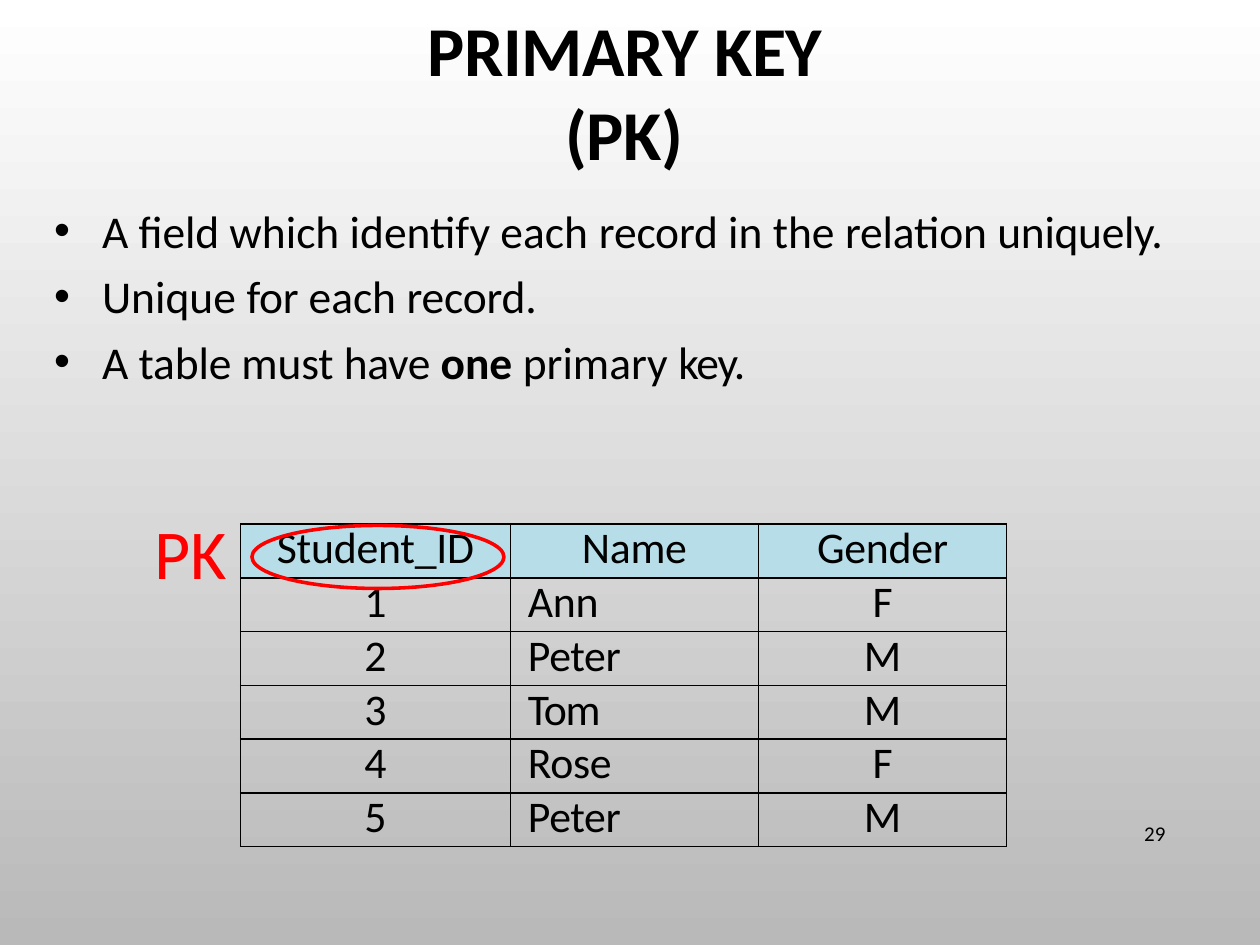
from lxml.etree import SubElement
from pptx import Presentation
from pptx.dml.color import RGBColor
from pptx.enum.shapes import MSO_SHAPE
from pptx.enum.text import MSO_ANCHOR, PP_ALIGN
from pptx.oxml.ns import qn
from pptx.util import Inches, Pt

WIDTH, HEIGHT = Inches(10), Inches(7.5)
BLACK, RED, HEADER_BLUE = "000000", "FF0000", "B7DEE8"

# Boxes: left, top, width, height in percent of the slide
TITLE_BOX = (30.2, 4.93, 38.7, 9.2)
BULLET_BOX = (4.2, 20.13, 88.7, 21.2)
TABLE_BOX = (19.1, 55.47, 60.8, 34.13)
KEY_LABEL_BOX = (12.3, 53.73, 6, 9.2)
KEY_RING_BOX = (20, 55.6, 20, 6.67)
NUMBER_BOX = (86.2, 85.73, 6.3, 5.33)

# Text pieces: wording, letter spacing in points, bold
TITLE = [("PRIMARY ", -0.1, True), ("KEY ", -0.4, True), ("(PK)", -0.1, True)]
BULLETS = [
    (7.2, [("A ", 0, False), ("field ", -0.1, False), ("which identify each ", 0, False),
           ("record ", -0.1, False), ("in the ", 0, False), ("relation ", -0.1, False),
           ("uniquely.", -0.2, False)]),
    (6.3, [("Unique ", 0, False), ("for ", -0.2, False), ("each ", 0, False),
           ("record.", -0.1, False)]),
    (6.2, [("A ", 0, False), ("table must ", -0.1, False), ("have ", -0.2, False),
           ("one ", 0, True), ("primary ", 0, False), ("key.", -0.7, False)]),
]
HEADINGS = ("Student_ID", "Name", "Gender")
STUDENTS = [("Ann", "F"), ("Peter", "M"), ("Tom", "M"), ("Rose", "F"), ("Peter", "M")]
NAME_SPACING = {"Ann": -0.1, "Peter": -0.2, "Tom": -0.8, "Rose": -0.2}
COLUMN_SHARES = (0.352, 0.324, 0.324)


def color(hex_text):
    return RGBColor.from_string(hex_text)


def place(box):
    left, top, width, height = box
    return (int(WIDTH * left / 100), int(HEIGHT * top / 100),
            int(WIDTH * width / 100), int(HEIGHT * height / 100))


def add_spans(para, pieces, size, hex_text=BLACK):
    for wording, spacing, bold in pieces:
        span = para.add_run()
        span.text = wording
        span.font.name = "Calibri"
        span.font.size = Pt(size)
        span.font.bold = bold
        span.font.color.rgb = color(hex_text)
        span.font._element.set("spc", str(round(spacing * 100)))


def add_frame(page, box, anchor=MSO_ANCHOR.TOP, top_inset=0.01):
    frame = page.shapes.add_textbox(*place(box)).text_frame
    frame.word_wrap = True
    frame.vertical_anchor = anchor
    frame.margin_left = frame.margin_right = frame.margin_bottom = 0
    frame.margin_top = Inches(top_inset)
    return frame


def paint_background(page):
    fill = page.background.fill
    fill.gradient()
    fill.gradient_angle = 270
    for stop, hex_text in zip(fill.gradient_stops, ("FFFFFF", "B9B9B9")):
        stop.color.rgb = color(hex_text)


def add_title(page, box):
    para = add_frame(page, box, MSO_ANCHOR.MIDDLE).paragraphs[0]
    para.alignment = PP_ALIGN.CENTER
    para.space_before = Pt(0.9)
    add_spans(para, TITLE, 40)


def add_bullets(page, box):
    frame = add_frame(page, box, top_inset=0.1)
    for index, (gap, pieces) in enumerate(BULLETS):
        para = frame.add_paragraph() if index else frame.paragraphs[0]
        para.space_before = Pt(gap)
        properties = para._p.get_or_add_pPr()
        properties.set("marL", str(Inches(0.39)))
        properties.set("indent", str(Inches(-0.38)))
        SubElement(properties, qn("a:buFont"), typeface="Arial")
        SubElement(properties, qn("a:buChar"), char="•")
        add_spans(para, pieces, 26)


def draw_borders(cell):
    properties = cell._tc.get_or_add_tcPr()
    for position, side in enumerate(("a:lnL", "a:lnR", "a:lnT", "a:lnB")):
        line = SubElement(properties, qn(side), w=str(Pt(1)))
        SubElement(SubElement(line, qn("a:solidFill")), qn("a:srgbClr"), val=BLACK)
        properties.remove(line)
        properties.insert(position, line)  # borders come before the fill


def fill_cell(cell, wording, is_header, is_name):
    cell.margin_left = cell.margin_right = cell.margin_top = cell.margin_bottom = 0
    if is_header:
        cell.fill.solid()
        cell.fill.fore_color.rgb = color(HEADER_BLUE)
    else:
        cell.fill.background()
    draw_borders(cell)
    para = cell.text_frame.paragraphs[0]
    para.line_spacing = Pt(29.4)
    if is_name and not is_header:
        cell.margin_left = Inches(0.14)
    else:
        para.alignment = PP_ALIGN.CENTER
    spacing = -0.1 if is_header else NAME_SPACING.get(wording, 0)
    add_spans(para, [(wording, spacing, False)], 25)


def add_student_table(page, box):
    rows = [HEADINGS] + [(str(number), *student) for number, student in enumerate(STUDENTS, 1)]
    left, top, width, height = place(box)
    table = page.shapes.add_table(len(rows), len(HEADINGS), left, top, width, height).table
    table.first_row = table.horz_banding = False
    for column, share in zip(table.columns, COLUMN_SHARES):
        column.width = int(width * share)
    for row_index, row in enumerate(rows):
        for column_index, wording in enumerate(row):
            fill_cell(table.cell(row_index, column_index), wording,
                      row_index == 0, column_index == 1)


def add_key_mark(page, ring_box, label_box):
    ring = page.shapes.add_shape(MSO_SHAPE.OVAL, *place(ring_box))
    ring.shadow.inherit = False
    ring.fill.background()
    ring.line.color.rgb = color(RED)
    ring.line.width = Pt(2.04)
    para = add_frame(page, label_box).paragraphs[0]
    para.space_before = Pt(0.9)
    add_spans(para, [("PK", -0.1, False)], 40, RED)


def add_page_number(page, box):
    para = add_frame(page, box, MSO_ANCHOR.MIDDLE, 0).paragraphs[0]
    para.alignment = PP_ALIGN.RIGHT
    para.line_spacing = Pt(12.4)
    add_spans(para, [("29", 0, False)], 12)


def main():
    deck = Presentation()
    deck.slide_width, deck.slide_height = WIDTH, HEIGHT
    page = deck.slides.add_slide(deck.slide_layouts[6])
    paint_background(page)
    add_title(page, TITLE_BOX)
    add_page_number(page, NUMBER_BOX)
    add_bullets(page, BULLET_BOX)
    add_student_table(page, TABLE_BOX)
    add_key_mark(page, KEY_RING_BOX, KEY_LABEL_BOX)
    deck.save("out.pptx")


if __name__ == "__main__":
    main()
